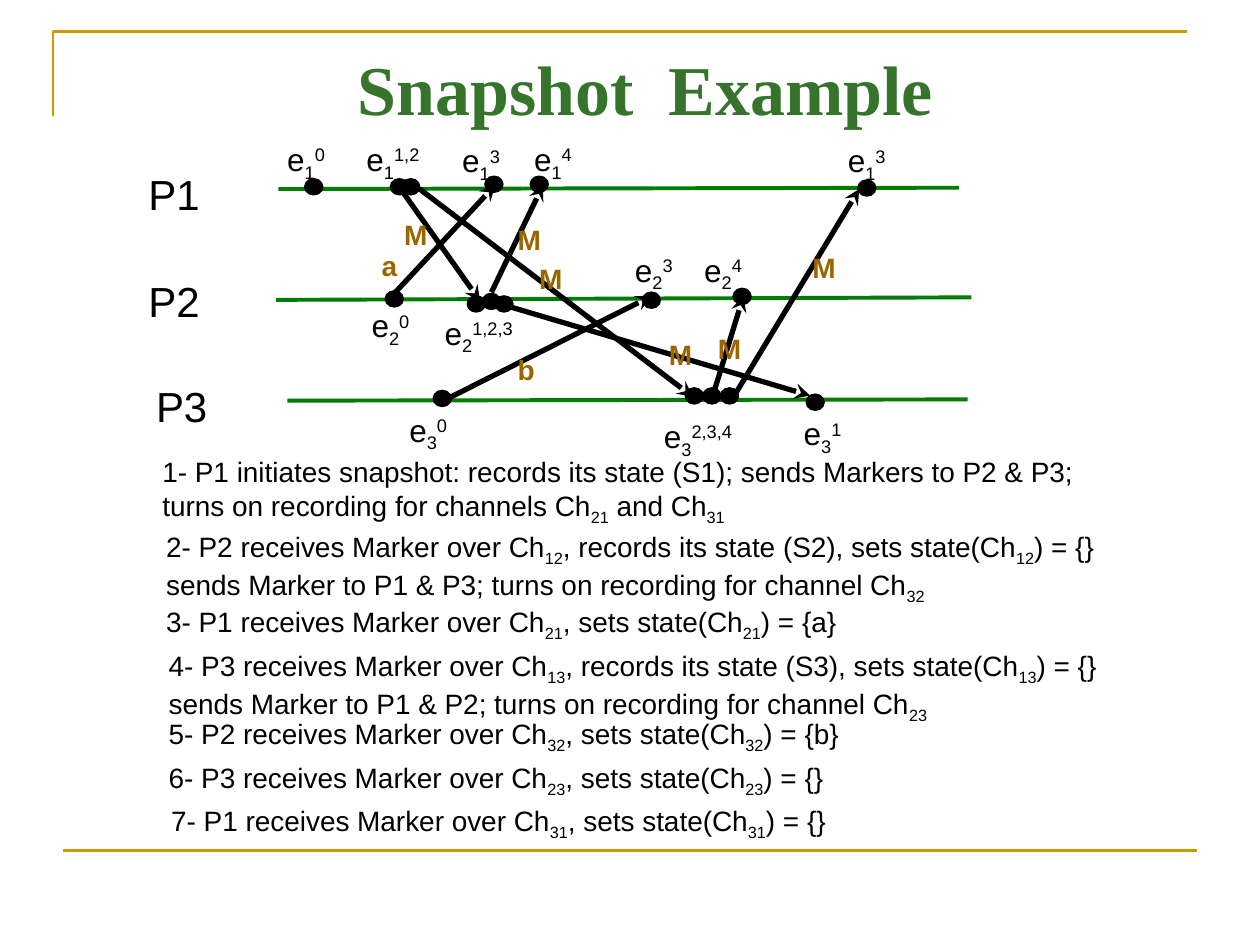
import dataclasses

import lxml.etree
import pptx
import pptx.dml.color
import pptx.enum.shapes
import pptx.enum.text
import pptx.oxml.ns
import pptx.util


@dataclasses.dataclass(frozen=True)
class Theme:
    """Colours, fonts and sizes of the slide."""
    frame: str = "CC9900"
    title: str = "35742A"
    timeline: str = "037C03"
    ink: str = "000000"
    message: str = "996600"
    title_font: str = "Times New Roman"
    body_font: str = "Arial"
    title_size: int = 40
    process_size: int = 24
    event_size: int = 18
    body_size: int = 16


THEME = Theme()
COLUMNS, ROWS = 100, 75
DOT_WIDTH, DOT_HEIGHT = 1.4, 1.25

FRAME_CORNER = [(4.2, 9.2), (4.2, 2.5), (94.2, 2.5)]
PROCESSES = [
    ("P1", 10.8, 12.9, (22.1, 15), (76.1, 14.9)),
    ("P2", 10.8, 21.4, (21.9, 23.8), (77.1, 23.6)),
    ("P3", 11.4, 29.7, (22.8, 31.8), (76.8, 31.7)),
]
ARROWS = [
    ((31.1, 23.5), (39.3, 14.7)),
    ((35, 31.9), (51.7, 23.5)),
    ((31.8, 15), (38.1, 23.9)),
    ((33.3, 15), (55, 31.5)),
    ((39, 23.2), (43.1, 14.7)),
    ((40.3, 24.3), (64.3, 31.4)),
    ((56.7, 31), (59, 23.5)),
    ((58.1, 31.7), (68.2, 15)),
]
DOTS = [
    (24.2, 14.2), (31, 14.2), (31.9, 14.2), (38.5, 14), (42.1, 14), (68.1, 14.3),
    (30.6, 23.1), (37.1, 23.5), (38.3, 23.3), (39.3, 23.5), (51, 23.2), (58.2, 22.9),
    (34.4, 31), (54.4, 30.8), (55.8, 30.8), (57.2, 30.8), (64, 31.3),
]
EVENTS = [
    ("e_1_^0^", 21.8, 10.6, 6.1), ("e_1_^1,2^", 28.1, 10.6, 6.9),
    ("e_1_^3^", 35.7, 10.7, 6.1), ("e_1_^4^", 41.4, 10.6, 6.1),
    ("e_1_^3^", 66.3, 10.7, 6.1), ("e_2_^0^", 28.5, 23.8, 6.1),
    ("e_2_^1,2,3^", 34.3, 24.4, 8.2), ("e_2_^3^", 49.4, 19.4, 6.1),
    ("e_2_^4^", 54.9, 19.4, 6.1), ("e_3_^0^", 31.5, 32.1, 6.1),
    ("e_3_^2,3,4^", 51.7, 32.6, 8.8), ("e_3_^1^", 62.8, 32.4, 6.1),
]
MESSAGES = [
    ("a", 29.3, 19.2), ("b", 40.1, 27.5), ("M", 41.8, 20.3), ("M", 31.1, 16.8),
    ("M", 40.1, 17.2), ("M", 52.1, 26.3), ("M", 63.5, 19.4), ("M", 56, 25.8),
]
STEPS = [
    ("1- P1 initiates snapshot: records its state (S1); sends Markers to P2 & P3; "
     "turns on recording for channels Ch_21_ and Ch_31_", 11.9, 35.6, 75.1, 6.7),
    ("2- P2 receives Marker over Ch_12_, records its state (S2), sets state(Ch_12_) = {} "
     "sends Marker to P1 & P3; turns on recording for channel Ch_32_", 12.2, 41.5, 76.5, 7.1),
    ("3- P1 receives Marker over Ch_21_, sets state(Ch_21_) = {a}", 12.2, 47.5, 76.5, 4.1),
    ("4- P3 receives Marker over Ch_13_, records its state (S3), sets state(Ch_13_) = {} "
     "sends Marker to P1 & P2; turns on recording for channel Ch_23_", 12.4, 51, 76.5, 7.1),
    ("5- P2 receives Marker over Ch_32_, sets state(Ch_32_) = {b}", 12.4, 56.4, 76.5, 4.1),
    ("6- P3 receives Marker over Ch_23_, sets state(Ch_23_) = {}", 12.4, 59.9, 76.5, 4.1),
    ("7- P1 receives Marker over Ch_31_, sets state(Ch_31_) = {}", 12.6, 63.3, 76.5, 4.1),
]


def grid(*cells):
    """Turn counts of grid cells into lengths."""
    return [pptx.util.Inches(cell * 10 / COLUMNS) for cell in cells]


def color(value):
    """Return a colour object for a hexadecimal value."""
    return pptx.dml.color.RGBColor.from_string(value)


def split_runs(text):
    """Yield (words, baseline), where _x_ is subscript and ^x^ is superscript."""
    for low, chunk in enumerate(text.split("_")):
        for high, words in enumerate(chunk.split("^")):
            if words:
                yield words, -25000 if low % 2 else 30000 if high % 2 else 0


def add_text(slide, text, box, *, size, ink=THEME.ink, font=THEME.body_font,
             bold=False, centred=False, top_margin=0.5):
    """Add a text box with sub- and superscripts."""
    shape = slide.shapes.add_textbox(*grid(*box))
    frame = shape.text_frame
    frame.word_wrap = True
    frame.margin_top = grid(top_margin)[0]
    paragraph = frame.paragraphs[0]
    if centred:
        paragraph.alignment = pptx.enum.text.PP_ALIGN.CENTER
    for words, baseline in split_runs(text):
        run = paragraph.add_run()
        run.text = words
        run.font.name = font
        run.font.size = pptx.util.Pt(size)
        run.font.bold = bold
        run.font.color.rgb = color(ink)
        if baseline:
            run.font._element.set("baseline", str(baseline))


def add_line(slide, start, end, *, ink, width, arrow=False):
    """Add a straight line, with an arrowhead at its end if wanted."""
    connector = slide.shapes.add_connector(
        pptx.enum.shapes.MSO_CONNECTOR.STRAIGHT, *grid(*start, *end))
    connector.line.color.rgb = color(ink)
    connector.line.width = pptx.util.Pt(width)
    if arrow:
        outline = connector.line._get_or_add_ln()
        lxml.etree.SubElement(outline, pptx.oxml.ns.qn("a:tailEnd"), type="stealth")
    lxml.etree.SubElement(connector._element.spPr, pptx.oxml.ns.qn("a:effectLst"))


def add_dot(slide, left, top):
    """Add the dot of one event."""
    shape = slide.shapes.add_shape(
        pptx.enum.shapes.MSO_SHAPE.OVAL, *grid(left, top, DOT_WIDTH, DOT_HEIGHT))
    shape.shadow.inherit = False
    shape.fill.solid()
    shape.fill.fore_color.rgb = color(THEME.ink)
    shape.line.color.rgb = color(THEME.ink)
    shape.line.width = pptx.util.Pt(1)


def add_frame(slide):
    """Add the corner outline and the bottom rule."""
    first, *others = [tuple(grid(*point)) for point in FRAME_CORNER]
    builder = slide.shapes.build_freeform(*first)
    builder.add_line_segments(others, close=False)
    shape = builder.convert_to_shape()
    shape.shadow.inherit = False
    shape.fill.background()
    shape.line.color.rgb = color(THEME.frame)
    shape.line.width = pptx.util.Pt(1.5)
    add_line(slide, (5, 67.5), (95, 67.5), ink=THEME.frame, width=1.5)


def main():
    """Build and save the slide."""
    presentation = pptx.Presentation()
    presentation.slide_width, presentation.slide_height = grid(COLUMNS, ROWS)
    slide = presentation.slides.add_slide(presentation.slide_layouts[6])
    add_frame(slide)
    add_text(slide, "Snapshot  Example", (21.9, 2.5, 58.6, 5.7), size=THEME.title_size,
             ink=THEME.title, font=THEME.title_font, bold=True, centred=True, top_margin=1.1)
    for name, left, top, start, end in PROCESSES:
        add_line(slide, start, end, ink=THEME.timeline, width=2.25)
        add_text(slide, name, (left, top, 12.6, 5), size=THEME.process_size)
    for start, end in ARROWS:
        add_line(slide, start, end, ink=THEME.ink, width=3, arrow=True)
    for dot in DOTS:
        add_dot(slide, *dot)
    for text, left, top, width in EVENTS:
        add_text(slide, text, (left, top, width, 4.4), size=THEME.event_size)
    for text, left, top in MESSAGES:
        add_text(slide, text, (left, top, 4, 3.7), size=THEME.body_size,
                 ink=THEME.message, bold=True)
    for text, *box in STEPS:
        add_text(slide, text, box, size=THEME.body_size)
    presentation.save("out.pptx")


if __name__ == "__main__":
    main()
